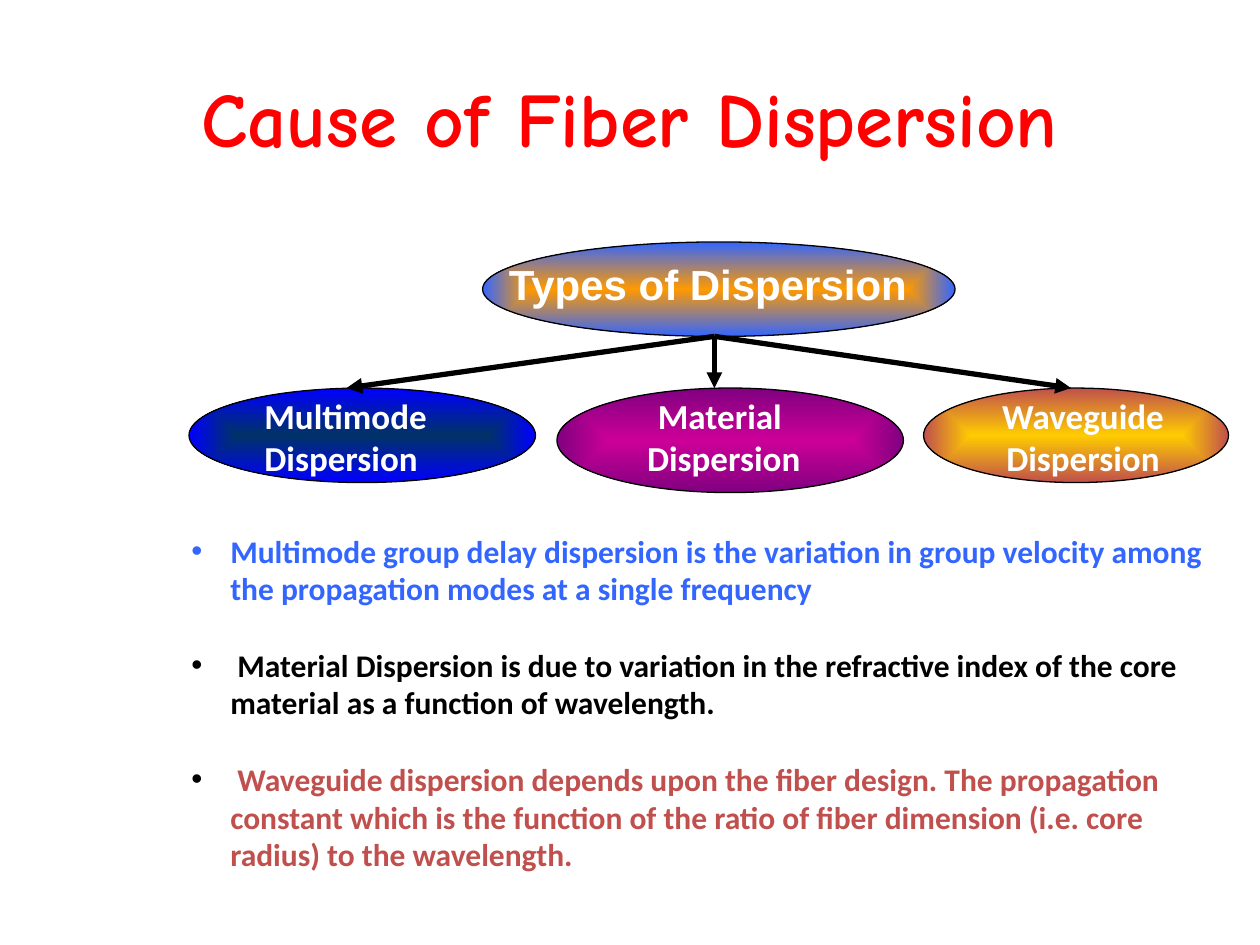
"""Build the slide on the causes of fiber dispersion."""
from lxml import etree
from pptx import Presentation
from pptx.dml.color import RGBColor
from pptx.enum import shapes as sh, text as tx
from pptx.oxml.ns import qn
from pptx.util import Inches, Pt

RED = RGBColor(0xFF, 0, 0)
BLACK = RGBColor(0, 0, 0)
WHITE = RGBColor(0xFF, 0xFF, 0xFF)
BLUE = RGBColor(0x33, 0x66, 0xFF)
BRICK = RGBColor(0xC0, 0x50, 0x4D)
ORANGE = RGBColor(0xFF, 0x99, 0)
NAVY = RGBColor(0, 0x33, 0x66)
PURE = RGBColor(0, 0, 0xFF)
PINK = RGBColor(0xCC, 0, 0x99)
PURPLE = RGBColor(0x80, 0, 0x80)
GOLD = RGBColor(0xFF, 0xCC, 0)

LEFT, MID = tx.PP_ALIGN.LEFT, tx.PP_ALIGN.CENTER
TITLE = "Cause of Fiber Dispersion"
ROOT = "Types of Dispersion "
OVALS = [
    ((3.83, 1.92, 3.75, 0.75), ORANGE, BLUE),
    ((1.5, 3.08, 2.75, 0.75), NAVY, PURE),
    ((4.42, 3.08, 2.75, 0.83), PINK, PURPLE),
    ((7.33, 3.08, 2.42, 0.75), GOLD, BRICK),
]
HUB, TIPS, ROW = (5.67, 2.67), (5.67, 8.5, 2.75), 3.08
LABELS = [
    (4.83, 1.83, MID, ["Material ", "Dispersion"]),
    (2, 1.77, LEFT, ["Multimode", "Dispersion"]),
    (7.67, 1.85, MID, ["Waveguide", "Dispersion"]),
]
POINTS = [
    ("Multimode group delay dispersion is the variation in group velocity among "
     "the propagation modes at a single frequency", BLUE, BLUE),
    (" Material Dispersion is due to variation in the refractive index of the core "
     "material as a function of wavelength.", BLACK, BLACK),
    (" Waveguide dispersion depends upon the fiber design. The propagation "
     "constant which is the function of the ratio of fiber dimension (i.e. core "
     "radius) to the wavelength.", BRICK, BLACK),
]


def place(shape, *box):
    shape.left, shape.top, shape.width, shape.height = map(Inches, box)


def style(para, face, size, color, align=LEFT):
    para.alignment = align
    font = para.font
    font.name, font.size, font.bold = face, Pt(size), True
    font.color.rgb = color


def indent(para, depth):
    props = para._p.get_or_add_pPr()
    props.set("marL", str(Inches(depth)))
    props.set("indent", str(-Inches(depth)))
    return props


def add_oval(slide, box, core, rim):
    oval = slide.shapes.add_shape(sh.MSO_SHAPE.OVAL, *map(Inches, box))
    oval.shadow.inherit = False
    oval.line.color.rgb, oval.line.width = BLACK, Pt(0.75)
    oval.fill.gradient()
    for stop, color in zip(oval.fill.gradient_stops, (core, rim)):
        stop.color.rgb = color
    grad = oval._element.spPr.find(qn("a:gradFill"))
    grad.remove(grad.find(qn("a:lin")))
    path = etree.SubElement(grad, qn("a:path"), path="rect")
    etree.SubElement(path, qn("a:fillToRect"), dict.fromkeys("ltrb", "50000"))


def add_arrow(slide, tip):
    ends = map(Inches, (*HUB, tip, ROW))
    arrow = slide.shapes.add_connector(sh.MSO_CONNECTOR.STRAIGHT, *ends)
    arrow.line.color.rgb, arrow.line.width = BLACK, Pt(3)
    etree.SubElement(arrow.line._get_or_add_ln(), qn("a:tailEnd"), type="triangle")
    etree.SubElement(arrow._element.spPr, qn("a:effectLst"))


def add_box(slide, *box):
    frame = slide.shapes.add_textbox(*map(Inches, box)).text_frame
    frame.word_wrap = True
    return frame


def add_label(slide, left, width, align, lines):
    frame = add_box(slide, left, ROW, width, 0.77)
    frame.vertical_anchor = tx.MSO_ANCHOR.BOTTOM
    frame.text = "\n".join(lines)
    for para in frame.paragraphs:
        style(para, "Calibri", 20, WHITE, align)


def add_points(slide):
    frame = add_box(slide, 1.42, 4.17, 8.33, 2.8)
    frame.text = "\n".join(point[0] for point in POINTS)
    for i, (para, (_, color, dot)) in enumerate(zip(frame.paragraphs, POINTS)):
        if i:
            para.space_before = Pt(22)
        props = indent(para, 0.31)
        tint = etree.SubElement(props, qn("a:buClr"))
        etree.SubElement(tint, qn("a:srgbClr"), val=str(dot))
        etree.SubElement(props, qn("a:buFont"), typeface="Arial")
        etree.SubElement(props, qn("a:buChar"), char="•")
        style(para, "Calibri", 18, color)


def main():
    deck = Presentation()
    deck.slide_width, deck.slide_height = Inches(10), Inches(7.5)
    slide = deck.slides.add_slide(deck.slide_layouts[1])
    title, body = slide.placeholders
    place(title, 0.5, 0.3, 9, 1.25)
    title.text_frame.text = TITLE
    title.text_frame.vertical_anchor = tx.MSO_ANCHOR.MIDDLE
    style(title.text_frame.paragraphs[0], "Comic Neue", 44, RED, MID)

    for box, core, rim in OVALS:
        add_oval(slide, box, core, rim)
    for tip in TIPS:
        add_arrow(slide, tip)

    place(body, 1.33, 2, 8.67, 2.25)
    body.text_frame.text = ROOT
    body.text_frame.auto_size = tx.MSO_AUTO_SIZE.NONE
    para = body.text_frame.paragraphs[0]
    para.space_before = Pt(0)
    etree.SubElement(indent(para, 0.38), qn("a:buNone"))
    style(para, "Arial", 24, WHITE, MID)
    slide.shapes._spTree.append(body._element)

    for label in LABELS:
        add_label(slide, *label)
    add_points(slide)
    deck.save("out.pptx")


if __name__ == "__main__":
    main()
